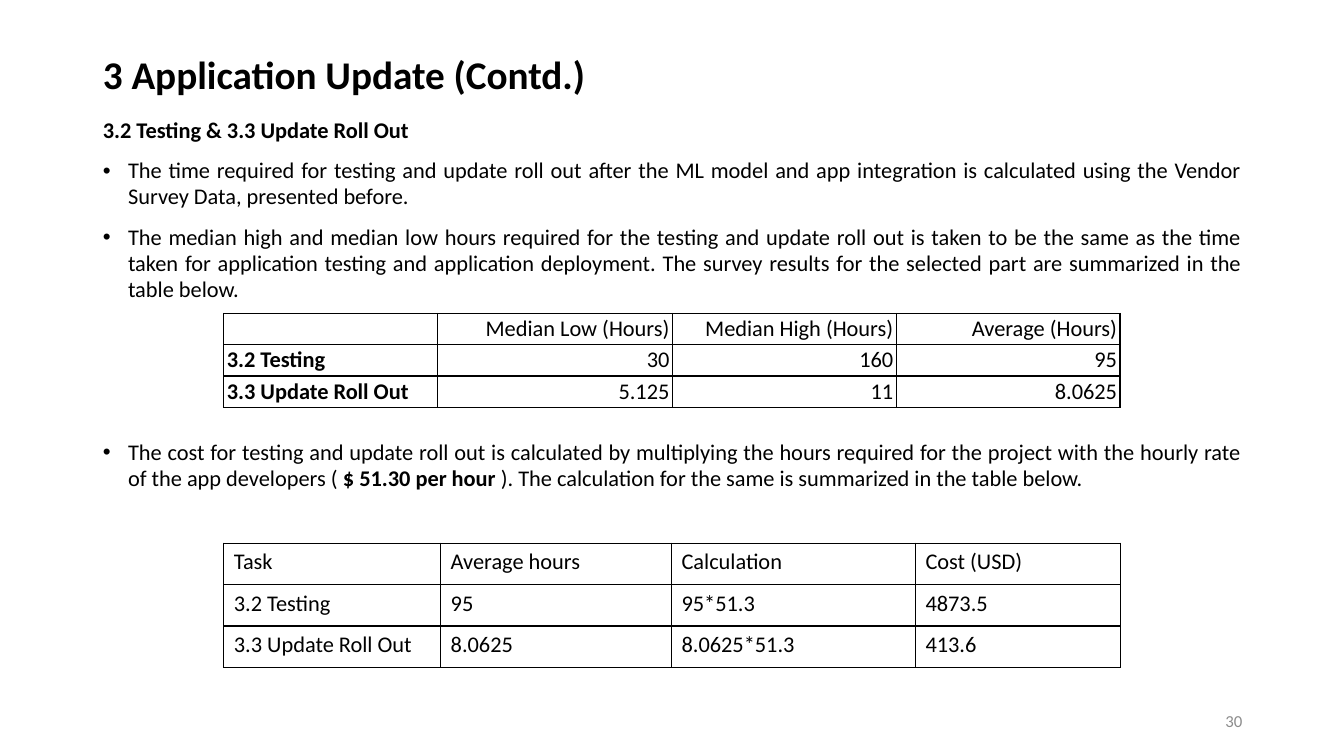
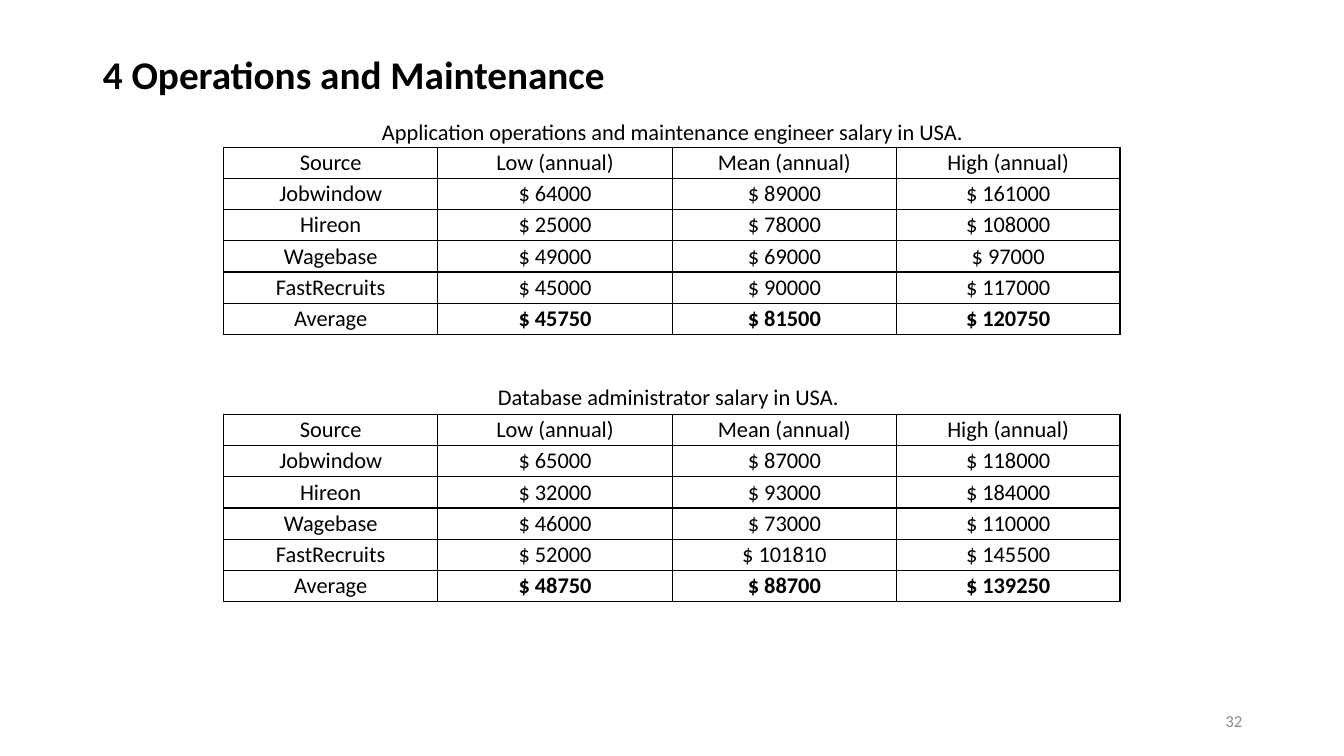
from lxml import etree
from pptx import Presentation
from pptx.dml.color import RGBColor
from pptx.enum.text import MSO_ANCHOR, MSO_AUTO_SIZE, PP_ALIGN
from pptx.oxml.ns import qn
from pptx.util import Pt

PX = 9144  # 100 px to the inch
BLACK = RGBColor(0x00, 0x00, 0x00)
WHITE = RGBColor(0xFF, 0xFF, 0xFF)
GREY = RGBColor(0x8C, 0x8C, 0x8C)
FONT = "Calibri"
LEFT, RIGHT, CENTER = PP_ALIGN.LEFT, PP_ALIGN.RIGHT, PP_ALIGN.CENTER
JUSTIFY = PP_ALIGN.JUSTIFY
TOP, MIDDLE = MSO_ANCHOR.TOP, MSO_ANCHOR.MIDDLE
NO_FIT = MSO_AUTO_SIZE.NONE

# Shared frame
TITLE_BOX = (92, 40, 1150, 72)
BODY_BOX = (92, 112, 1150, 563)
PAGE_BOX = (942, 695, 300, 40)
TABLE_X = 222
EVEN_COLS = (212, 233, 222, 222)
COST_COLS = (215, 229, 242, 203)
LOW_ROW, TALL_ROW = 31, 41

# Content
INTRO = [
    "The time required for testing and update roll out after the ML model and "
    "app integration is calculated using the Vendor Survey Data, presented before.",
    "The median high and median low hours required for the testing and update "
    "roll out is taken to be the same as the time taken for application testing "
    "and application deployment. The survey results for the selected part are "
    "summarized in the table below.",
]
COST = [
    ("The cost for testing and update roll out is calculated by multiplying the "
     "hours required for the project with the hourly rate of the app developers ( ",
     False),
    ("$ 51.30 per hour ", True),
    ("). The calculation for the same is summarized in the table below.", False),
]
HOURS = [
    ("", "Median Low (Hours)", "Median High (Hours)", "Average (Hours)"),
    ("3.2 Testing", "30", "160", "95"),
    ("3.3 Update Roll Out", "5.125", "11", "8.0625"),
]
COSTS = [
    ("Task", "Average hours", "Calculation", "Cost (USD)"),
    ("3.2 Testing", "95", "95*51.3", "4873.5"),
    ("3.3 Update Roll Out", "8.0625", "8.0625*51.3", "413.6"),
]
SITES = ("Jobwindow", "Hireon", "Wagebase", "FastRecruits", "Average")
OPS_PAY = [(64000, 89000, 161000), (25000, 78000, 108000), (49000, 69000, 97000),
           (45000, 90000, 117000), (45750, 81500, 120750)]
DATA_PAY = [(65000, 87000, 118000), (32000, 93000, 184000), (46000, 73000, 110000),
            (52000, 101810, 145500), (48750, 88700, 139250)]


def place(shape, box):
    shape.left, shape.top, shape.width, shape.height = (n * PX for n in box)


def style(para, size=16, bold=None, color=BLACK, align=LEFT):
    para.alignment = align
    font = para.font
    font.name, font.size, font.bold = FONT, Pt(size), bold
    font.color.rgb = color


def indent(para, bullet):
    props = para._p.get_or_add_pPr()
    hang = 25 * PX if bullet else 0
    props.set("marL", str(hang))
    props.set("indent", str(-hang))
    if bullet:
        etree.SubElement(props, qn("a:buChar")).set("char", "•")
    else:
        etree.SubElement(props, qn("a:buNone"))


def add_para(frame, runs, bullet=False, bold=None, align=JUSTIFY, gap=10, lines=0.97):
    """Fill the first paragraph while it is empty, else append one."""
    first = not frame.paragraphs[0].runs
    para = frame.paragraphs[0] if first else frame.add_paragraph()
    indent(para, bullet)
    for text, heavy in runs:
        run = para.add_run()
        run.text = text
        if heavy:
            run.font.bold = True
    style(para, bold=bold, align=align)
    para.line_spacing = lines
    para.space_before = Pt(0 if first else gap)


def add_text(slide, box, text, size=16, color=BLACK, align=LEFT, anchor=TOP):
    shape = slide.shapes.add_textbox(0, 0, 0, 0)
    place(shape, box)
    frame = shape.text_frame
    frame.word_wrap = True
    frame.vertical_anchor = anchor
    frame.text = text
    style(frame.paragraphs[0], size, color=color, align=align)


def add_slide(deck, title, page):
    """Add a slide with title and page number; return it and its body frame."""
    slide = deck.slides.add_slide(deck.slide_layouts[1])
    head, body = slide.shapes.title, slide.placeholders[1]
    place(head, TITLE_BOX)
    place(body, BODY_BOX)
    for shape in (head, body):
        shape.text_frame.auto_size = NO_FIT
    head.text_frame.vertical_anchor = MIDDLE
    head.text_frame.text = title
    para = head.text_frame.paragraphs[0]
    style(para, 28, bold=True)
    para.line_spacing = 0.9
    add_text(slide, PAGE_BOX, str(page), 12, GREY, RIGHT, MIDDLE)
    return slide, body.text_frame


def frame_cell(cell):
    """Draw thin black borders, then a plain fill."""
    props = cell._tc.get_or_add_tcPr()
    for side in ("lnL", "lnR", "lnT", "lnB"):
        line = etree.SubElement(props, qn("a:" + side), w=str(Pt(1)))
        fill = etree.SubElement(line, qn("a:solidFill"))
        etree.SubElement(fill, qn("a:srgbClr"), val=str(BLACK))
    cell.fill.solid()
    cell.fill.fore_color.rgb = WHITE


def add_grid(slide, top, data, cols, high, tight=True, align=None, bold=None):
    """align and bold are rules that take a row and a column."""
    shape = slide.shapes.add_table(len(data), len(cols), TABLE_X * PX, top * PX,
                                   sum(cols) * PX, len(data) * high * PX)
    table = shape.table
    table.first_row = table.horz_banding = False
    for col, width in zip(table.columns, cols):
        col.width = width * PX
    for r, row in enumerate(data):
        table.rows[r].height = high * PX
        for c, text in enumerate(row):
            cell = table.cell(r, c)
            if tight:
                cell.margin_left = cell.margin_right = 3 * PX
                cell.margin_top = cell.margin_bottom = 0
                cell.vertical_anchor = MIDDLE
            frame_cell(cell)
            cell.text = text
            style(cell.text_frame.paragraphs[0],
                  bold=bool(bold and bold(r, c)),
                  align=align(r, c) if align else LEFT)


def add_pay(slide, top, pay):
    data = [("Source", "Low (annual)", "Mean (annual)", "High (annual)")]
    data += [(site, *(f"$ {n}" for n in sums)) for site, sums in zip(SITES, pay)]
    add_grid(slide, top, data, EVEN_COLS, LOW_ROW,
             align=lambda r, c: CENTER,
             bold=lambda r, c: r == len(pay) and c > 0)


def add_update(deck):
    slide, body = add_slide(deck, "3 Application Update (Contd.)", 30)
    add_para(body, [("3.2 Testing & 3.3 Update Roll Out", False)], bold=True)
    for text in INTRO:
        add_para(body, [(text, False)], bullet=True)
    add_para(body, COST, bullet=True, gap=98)  # leaves room for the hours table
    add_grid(slide, 311, HOURS, EVEN_COLS, LOW_ROW,
             align=lambda r, c: RIGHT if c else LEFT,
             bold=lambda r, c: c == 0)
    add_grid(slide, 539, COSTS, COST_COLS, TALL_ROW, tight=False)


def add_upkeep(deck):
    slide, body = add_slide(deck, "4 Operations and Maintenance", 32)
    add_para(body, [("Application operations and maintenance engineer salary in USA.",
                     False)], align=CENTER, lines=1.0)
    add_pay(slide, 146, OPS_PAY)
    add_text(slide, (484, 375, 596, 37), "Database administrator salary in USA.")
    add_pay(slide, 411, DATA_PAY)


def main():
    deck = Presentation()
    deck.slide_width, deck.slide_height = 1333 * PX, 750 * PX
    add_update(deck)
    add_upkeep(deck)
    deck.save("out.pptx")


if __name__ == "__main__":
    main()
